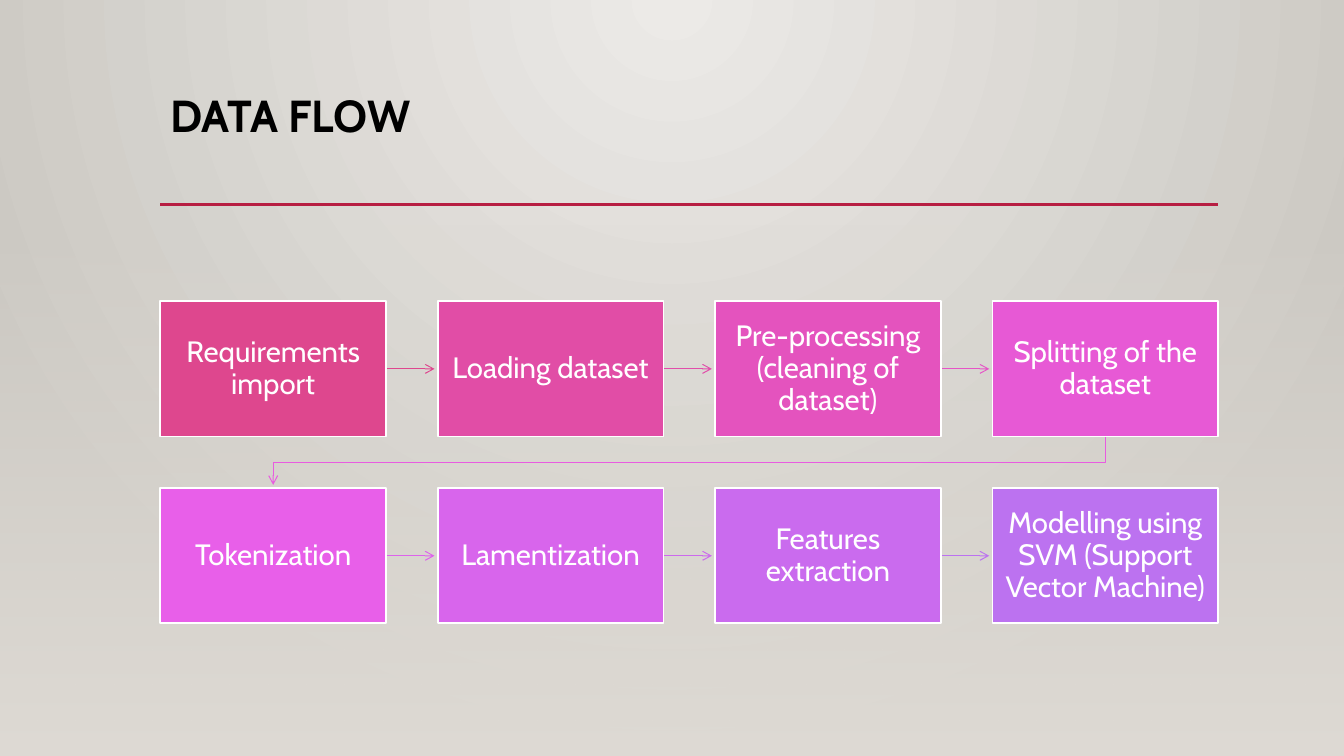
from lxml import etree
from pptx import Presentation
from pptx.dml.color import RGBColor
from pptx.enum import shapes, text
from pptx.oxml import ns
from pptx.util import Cm, Pt

TITLE = "DATA FLOW"
FONT = "Cabin"
# label, box colour, colour of the arrow to the next step
STEPS = [
    ("Requirements import", "DE478E", "DE478E"),
    ("Loading dataset", "E14DA6", "E14EAA"),
    ("Pre-processing (cleaning of dataset)", "E453BE", "E555C6"),
    ("Splitting of the dataset", "E759D5", "E85CE0"),
    ("Tokenization", "E85FE9", "DD63EB"),
    ("Lamentization", "D865EC", "CC6AED"),
    ("Features extraction", "CA6BEE", "BC72F0"),
    ("Modelling using SVM (Support Vector Machine)", "BC72F0", None),
]
BLACK = RGBColor(0, 0, 0)
WHITE = RGBColor(0xFF, 0xFF, 0xFF)
RED = RGBColor(0xB7, 0x1E, 0x42)
LIGHT = RGBColor(0xEC, 0xEA, 0xE7)
DARK = RGBColor(0xCA, 0xC7, 0xC1)
SAND = RGBColor(0xDF, 0xDB, 0xD5)

WIDE, HIGH = Cm(33.87), Cm(19.05)
COLS = 4
LEFT, TOP = Cm(4.04), Cm(7.59)
BOX_W, BOX_H = Cm(5.69), Cm(3.41)
STEP_X, STEP_Y = Cm(6.99), Cm(4.71)
TIP = Cm(0.08)  # space between an arrow tip and the next box
RIGHT = LEFT + (COLS - 1) * STEP_X + BOX_W
RULE_Y = Cm(5.15)
VEIL_Y = Cm(5.61)


def sub(node, tag, **attrs):
    return etree.SubElement(node, ns.qn(tag), **attrs)


def blend(fill, first, last):
    fill.gradient()
    for stop, color in zip(fill.gradient_stops, (first, last)):
        stop.color.rgb = color


def write(shape, words, size, color, bold=False):
    para = shape.text_frame.paragraphs[0]
    para.line_spacing = 0.9
    run = para.add_run()
    run.text = words
    run.font.name, run.font.size = FONT, Pt(size)
    run.font.color.rgb, run.font.bold = color, bold
    return para


def link(x1, y1, x2, y2, color, width):
    line = slide.shapes.add_connector(shapes.MSO_CONNECTOR.STRAIGHT, x1, y1, x2, y2)
    line.line.color.rgb, line.line.width = color, Pt(width)
    sub(line.element.spPr, "a:effectLst")
    return line


def bend(points, color):
    """Draw an open line through the points."""
    pen = slide.shapes.build_freeform(*points[0])
    pen.add_line_segments(points[1:], close=False)
    line = pen.convert_to_shape()
    line.fill.background()
    line.shadow.inherit = False
    line.line.color.rgb, line.line.width = color, Pt(0.75)
    return line


def place(i):
    row, col = divmod(i, COLS)
    return LEFT + col * STEP_X, TOP + row * STEP_Y


def box(i, words, color):
    x, y = place(i)
    card = slide.shapes.add_shape(shapes.MSO_SHAPE.RECTANGLE, x, y, BOX_W, BOX_H)
    card.shadow.inherit = False
    card.fill.solid()
    card.fill.fore_color.rgb = color
    card.line.color.rgb, card.line.width = WHITE, Pt(1.25)
    frame = card.text_frame
    frame.word_wrap = True
    frame.vertical_anchor = text.MSO_ANCHOR.MIDDLE
    frame.margin_left = frame.margin_right = Cm(0.28)
    frame.margin_top = frame.margin_bottom = Cm(0.3)
    write(card, words, 21, WHITE).alignment = text.PP_ALIGN.CENTER


def arrow(i, color):
    """Lead from step i to the next one, on the same row or the row below."""
    x, y = place(i)
    to_x, to_y = place(i + 1)
    if y == to_y:
        mid = y + BOX_H // 2
        line = link(x + BOX_W, mid, to_x - TIP, mid, color, 0.75)
    else:
        start, end = x + BOX_W // 2, to_x + BOX_W // 2
        low = y + BOX_H
        mid = (low + to_y) // 2
        line = bend([(start, low), (start, mid), (end, mid), (end, to_y - TIP)], color)
    sub(line.element.spPr.find(ns.qn("a:ln")), "a:tailEnd", type="arrow")


deck = Presentation()
deck.slide_width, deck.slide_height = WIDE, HIGH
slide = deck.slides.add_slide(deck.slide_layouts[6])

blend(slide.background.fill, LIGHT, DARK)
glow = slide.element.find(".//" + ns.qn("a:gradFill"))
glow.remove(glow.find(ns.qn("a:lin")))
sub(sub(glow, "a:path", path="circle"), "a:fillToRect",
    l="43000", t="0", r="43000", b="100000")

veil = slide.shapes.add_shape(shapes.MSO_SHAPE.RECTANGLE, 0, VEIL_Y, WIDE, HIGH - VEIL_Y)
veil.shadow.inherit = False
veil.line.fill.background()
blend(veil.fill, SAND, SAND)
veil.fill.gradient_angle = 270
sub(veil.element.find(".//" + ns.qn("a:srgbClr")), "a:alpha", val="0")

head = slide.shapes.add_textbox(LEFT, Cm(2.24), Cm(26.67), Cm(2.92))
head.text_frame.word_wrap = True
write(head, TITLE, 32, BLACK, True)
link(LEFT, RULE_Y, RIGHT, RULE_Y, RED, 2.5)

for i, (words, color, lead) in enumerate(STEPS):
    if lead:
        arrow(i, RGBColor.from_string(lead))
    box(i, words, RGBColor.from_string(color))

deck.save("out.pptx")
